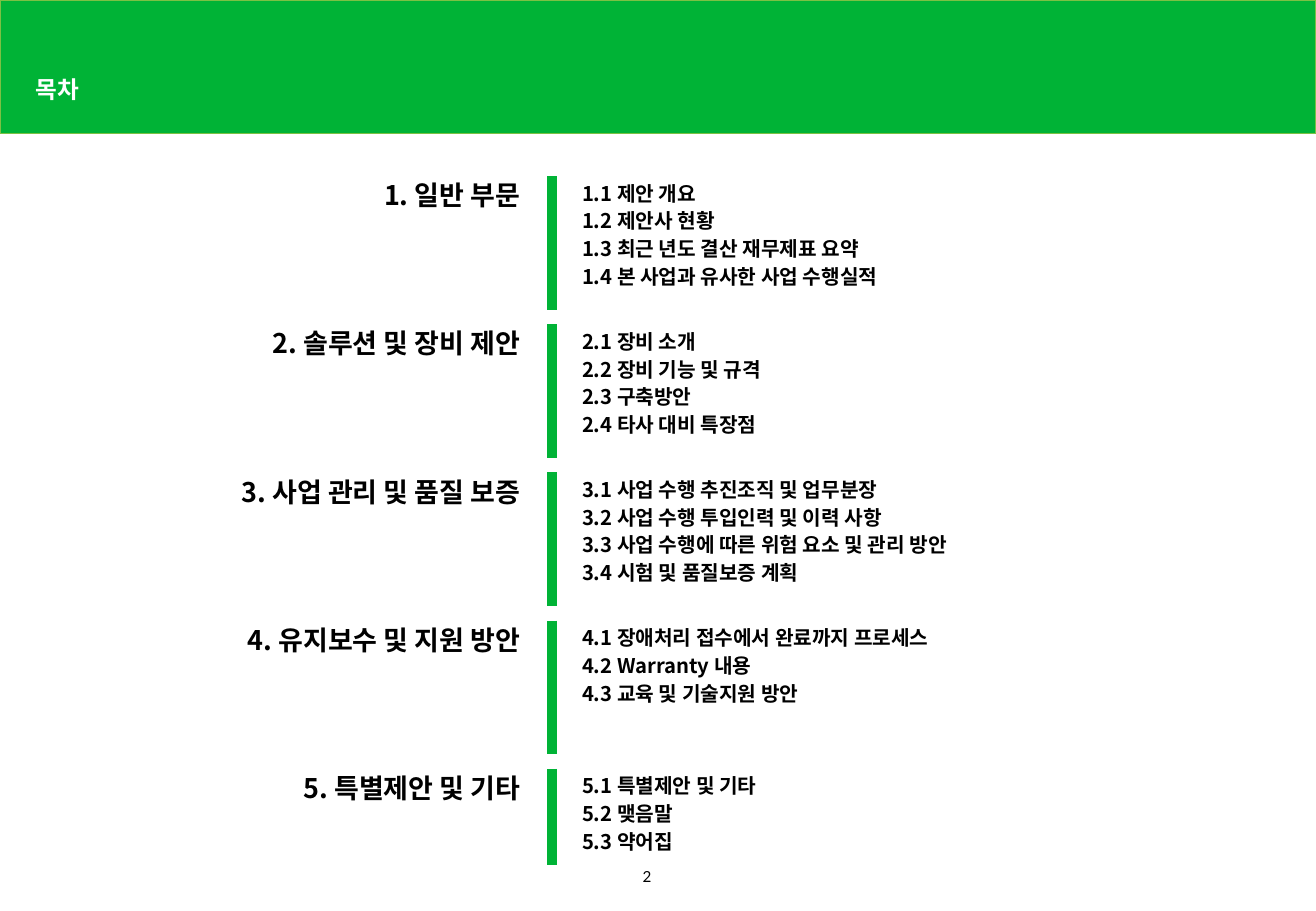
import pptx
import pptx.util
import pptx.dml.color
import pptx.enum.shapes
import pptx.enum.text
import pptx.oxml.ns
from lxml import etree

Inches = pptx.util.Inches
Pt = pptx.util.Pt
RGBColor = pptx.dml.color.RGBColor
MSO_ANCHOR = pptx.enum.text.MSO_ANCHOR
PP_ALIGN = pptx.enum.text.PP_ALIGN
qn = pptx.oxml.ns.qn

GREEN = RGBColor(0x00, 0xB3, 0x36)
LIME = RGBColor(0x7B, 0xC1, 0x44)
WHITE = RGBColor(0xFF, 0xFF, 0xFF)
BLACK = RGBColor(0x00, 0x00, 0x00)
BODY_FONT = "Noto Sans CJK KR"

SECTIONS = [
    ("1. 일반 부문", 1.1, [
        "1.1 제안 개요",
        "1.2 제안사 현황",
        "1.3 최근 년도 결산 재무제표 요약",
        "1.4 본 사업과 유사한 사업 수행실적"]),
    ("2. 솔루션 및 장비 제안", 1.1, [
        "2.1 장비 소개",
        "2.2 장비 기능 및 규격",
        "2.3 구축방안",
        "2.4 타사 대비 특장점"]),
    ("3. 사업 관리 및 품질 보증", 1.1, [
        "3.1 사업 수행 추진조직 및 업무분장",
        "3.2 사업 수행 투입인력 및 이력 사항",
        "3.3 사업 수행에 따른 위험 요소 및 관리 방안",
        "3.4 시험 및 품질보증 계획"]),
    ("4. 유지보수 및 지원 방안", 1.1, [
        "4.1 장애처리 접수에서 완료까지 프로세스",
        "4.2 Warranty 내용",
        "4.3 교육 및 기술지원 방안"]),
    ("5. 특별제안 및 기타", 0.79, [
        "5.1 특별제안 및 기타",
        "5.2 맺음말",
        "5.3 약어집"]),
]
FIRST_TOP = 1.45
SECTION_STEP = 1.22


def set_font(paragraph, name, size, color, bold):
    font = paragraph.font
    font.name = name
    font.size = Pt(size)
    font.bold = bold
    font.color.rgb = color
    properties = paragraph._p.pPr.find(qn("a:defRPr"))
    etree.SubElement(properties, qn("a:ea")).set("typeface", name)


def add_text(shapes, left, top, width, height, lines, size, align):
    box = shapes.add_textbox(Inches(left), Inches(top), Inches(width), Inches(height))
    frame = box.text_frame
    frame.word_wrap = True
    frame.margin_left = frame.margin_right = Inches(0.04)
    frame.margin_top = frame.margin_bottom = Inches(0.04)
    frame.text = "\n".join(lines)
    for paragraph in frame.paragraphs:
        paragraph.alignment = align
        paragraph.space_after = Pt(2)
        set_font(paragraph, BODY_FONT, size, BLACK, True)
    return frame


presentation = pptx.Presentation()
presentation.slide_width = Inches(10.83)
presentation.slide_height = Inches(7.5)
slide = presentation.slides.add_slide(presentation.slide_layouts[5])

header = slide.shapes.add_shape(
    pptx.enum.shapes.MSO_SHAPE.RECTANGLE, 0, 0, Inches(10.83), Inches(1.1))
header.shadow.inherit = False
header.fill.solid()
header.fill.fore_color.rgb = GREEN
header.line.color.rgb = LIME
header.line.width = Pt(1)
slide.shapes._spTree.insert(2, header._element)

title = slide.shapes.title
title.left, title.top = Inches(0.19), Inches(0.59)
title.width, title.height = Inches(4.8), Inches(0.31)
title.text_frame.text = "목차"
title.text_frame.vertical_anchor = MSO_ANCHOR.MIDDLE
title_line = title.text_frame.paragraphs[0]
title_line.alignment = PP_ALIGN.LEFT
title_line.line_spacing = 0.9
set_font(title_line, "Arial", 14, WHITE, True)

for index, (heading, height, items) in enumerate(SECTIONS):
    top = FIRST_TOP + index * SECTION_STEP
    section = slide.shapes.add_group_shape().shapes
    add_text(section, 4.75, top, 4.63, height, items, 12, PP_ALIGN.LEFT)

    divider = section.add_connector(
        pptx.enum.shapes.MSO_CONNECTOR.STRAIGHT,
        Inches(4.54), Inches(top), Inches(4.54), Inches(top + height))
    divider.line.color.rgb = GREEN
    divider.line.width = Pt(6)
    etree.SubElement(divider._element.spPr, qn("a:effectLst"))

    heading_frame = add_text(
        section, 1.46, top - 0.02, 2.86, 0.35, [heading], 16, PP_ALIGN.RIGHT)
    heading_frame.vertical_anchor = MSO_ANCHOR.MIDDLE
    heading_frame.auto_size = pptx.enum.text.MSO_AUTO_SIZE.SHAPE_TO_FIT_TEXT

page_number = slide.shapes.add_textbox(
    Inches(5.19), Inches(7.09), Inches(0.45), Inches(0.28)).text_frame
page_number.word_wrap = True
page_number.text = "2"
set_font(page_number.paragraphs[0], "Lato", 9, BLACK, False)

presentation.save("out.pptx")
